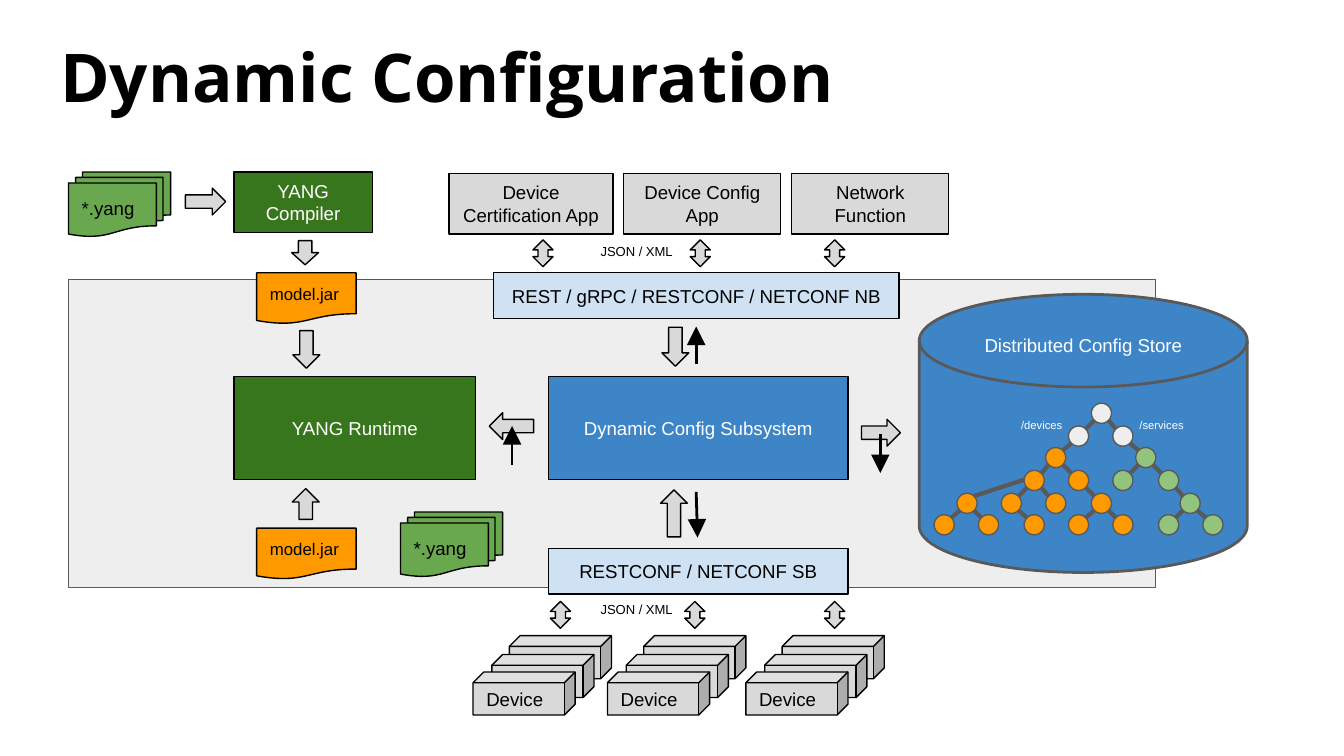
from lxml import etree
from pptx import Presentation
from pptx.dml.color import RGBColor
from pptx.enum.shapes import MSO_CONNECTOR, MSO_SHAPE
from pptx.enum.text import MSO_ANCHOR, PP_ALIGN
from pptx.oxml.ns import qn
from pptx.util import Pt

PX = 9144
RECTANGLE = MSO_SHAPE.RECTANGLE
DOCUMENT = MSO_SHAPE.FLOWCHART_DOCUMENT
DOCUMENTS = MSO_SHAPE.FLOWCHART_MULTIDOCUMENT
DISK = MSO_SHAPE.FLOWCHART_MAGNETIC_DISK
CUBE = MSO_SHAPE.CUBE
CIRCLE = MSO_SHAPE.OVAL
ARROW = MSO_SHAPE.RIGHT_ARROW
DOUBLE_ARROW = MSO_SHAPE.LEFT_RIGHT_ARROW
STRAIGHT = MSO_CONNECTOR.STRAIGHT
LEFT, CENTER = PP_ALIGN.LEFT, PP_ALIGN.CENTER
TOP, MIDDLE = MSO_ANCHOR.TOP, MSO_ANCHOR.MIDDLE

BLACK, WHITE, DARK_GRAY, GRAY, PALE = "000000", "FFFFFF", "595959", "D9D9D9", "EEEEEE"
DARK_GREEN, GREEN, LIGHT_GREEN = "38761D", "6AA84F", "93C47D"
BLUE, LIGHT_BLUE, ORANGE = "3D85C6", "CFE2F3", "FF9900"

presentation = Presentation()
presentation.slide_width = 1000 * PX
presentation.slide_height = presentation.slide_width * 9 // 16
slide = presentation.slides.add_slide(presentation.slide_layouts[6])


def draw_shape(kind, box, fill, line=BLACK, weight=0.75, rotation=0):
    shape = slide.shapes.add_shape(kind, *(value * PX for value in box))
    shape.shadow.inherit = False
    shape.rotation = rotation
    shape.fill.solid()
    shape.fill.fore_color.rgb = RGBColor.from_string(fill)
    shape.line.color.rgb = RGBColor.from_string(line)
    shape.line.width = Pt(weight)
    return shape


def write_text(shape, text, size, color=BLACK, align=CENTER, anchor=MIDDLE, font="Arial", right=10):
    frame = shape.text_frame
    frame.word_wrap = True
    frame.vertical_anchor = anchor
    frame.margin_left = frame.margin_top = frame.margin_bottom = 10 * PX
    frame.margin_right = right * PX
    frame.text = text
    for paragraph in frame.paragraphs:
        paragraph.alignment = align
        paragraph.font.name = font
        paragraph.font.size = Pt(size)
        paragraph.font.bold = font == "Open Sans"
        paragraph.font.color.rgb = RGBColor.from_string(color)


draw_shape(RECTANGLE, (51, 208, 809, 229), PALE, DARK_GRAY)
draw_shape(DISK, (684, 219, 244, 207), BLUE, DARK_GRAY, 1.5)

boxes = [
    (174, 280, 180, 77, DARK_GREEN, WHITE, "YANG Runtime"),
    (174, 128, 103, 45, DARK_GREEN, WHITE, "YANG Compiler"),
    (408, 280, 223, 77, BLUE, WHITE, "Dynamic Config Subsystem"),
    (408, 408, 223, 34, LIGHT_BLUE, BLACK, "RESTCONF / NETCONF SB"),
    (367, 203, 302, 34, LIGHT_BLUE, BLACK, "REST / gRPC / RESTCONF / NETCONF NB"),
    (334, 129, 122, 45, GRAY, BLACK, "Device Certification App"),
    (464, 129, 117, 45, GRAY, BLACK, "Device Config\nApp"),
    (589, 129, 117, 45, GRAY, BLACK, "Network\nFunction"),
]
for left, top, width, height, fill, color, text in boxes:
    write_text(draw_shape(RECTANGLE, (left, top, width, height), fill), text, 10, color)

for left, top in [(51, 128), (298, 381)]:
    write_text(draw_shape(DOCUMENTS, (left, top, 76, 48), GREEN), "*.yang", 10, align=LEFT)
for top in (203, 393):
    write_text(draw_shape(DOCUMENT, (191, top, 74, 38), ORANGE), "model.jar", 9, align=LEFT)

block_arrows = [
    (138, 140, 30, 0),
    (641, 312, 29, 0),
    (364, 307, 33, 180),
    (218, 178, 18, 90),
    (214, 250, 28, 90),
    (488, 248, 29, 90),
    (216, 365, 23, 270),
    (484, 372, 35, 270),
]
for left, top, length, rotation in block_arrows:
    draw_shape(ARROW, (left, top, length, 20), GRAY, rotation=rotation)

for top, lefts in [(181, (394, 511, 611)), (450, (407, 507, 611))]:
    for left in lefts:
        draw_shape(DOUBLE_ARROW, (left, top, 20, 15), GRAY, rotation=90)

for shift, top in [(27, 473), (14, 487), (0, 500)]:
    for left in (352, 452, 555):
        cube = draw_shape(CUBE, (left + shift, top, 76, 32), GRAY)
        if shift == 0:
            write_text(cube, "Device", 10, align=LEFT)

tree_nodes = [
    (PALE, [(7, 0), (6, 1), (8, 1)]),
    (ORANGE, [(5, 2), (4, 3), (6, 3), (1, 4), (3, 4), (5, 4), (7, 4),
              (0, 5), (2, 5), (4, 5), (6, 5), (8, 5)]),
    (LIGHT_GREEN, [(9, 2), (8, 3), (10, 3), (11, 4), (10, 5), (12, 5)]),
]
positions = {}
for fill, nodes in tree_nodes:
    for column, row in nodes:
        x, y = 695 + (column * 50 + 1) // 3, 300 + (row * 50 + 1) // 3
        positions[column, row] = x, y
        draw_shape(CIRCLE, (x, y, 15, 15), fill, DARK_GRAY)

lines = [
    (518, 271, 518, 243, BLACK, 1.5),
    (518, 366, 519, 400, BLACK, 1.5),
    (381, 346, 381, 317, BLACK, 1.5),
    (655, 323, 655, 352, BLACK, 1.5),
    (762, 357, 725, 369, DARK_GRAY, 2.25),
]
tree_children = {
    (7, 0): (6, 8), (6, 1): (5,), (8, 1): (9,), (5, 2): (4, 6), (9, 2): (8, 10),
    (4, 3): (3, 5), (6, 3): (7,), (10, 3): (11,), (1, 4): (0, 2), (3, 4): (4,),
    (7, 4): (6, 8), (11, 4): (10, 12),
}
for (column, row), children in tree_children.items():
    x, y = positions[column, row]
    for child in children:
        child_x, child_y = positions[child, row + 1]
        start, end = (2, 13) if child < column else (13, 2)
        lines.append((x + start, y + 13, child_x + end, child_y + 2, DARK_GRAY, 2.25))

for x1, y1, x2, y2, color, weight in lines:
    connector = slide.shapes.add_connector(STRAIGHT, x1 * PX, y1 * PX, x2 * PX, y2 * PX)
    connector.line.color.rgb = RGBColor.from_string(color)
    connector.line.width = Pt(weight)
    properties = connector._element.spPr
    etree.SubElement(properties, qn("a:effectLst"))
    if color == BLACK:
        outline = properties.find(qn("a:ln"))
        etree.SubElement(outline, qn("a:tailEnd"), type="triangle", w="lg", len="lg")

labels = [
    (35, 16, 932, 63, "Dynamic Configuration", 36, BLACK, LEFT, "Open Sans"),
    (684, 240, 244, 36, "Distributed Config Store", 10, WHITE, CENTER, "Arial"),
    (838, 306, 53, 15, "/services", 6, WHITE, LEFT, "Arial"),
    (750, 306, 53, 15, "/devices", 6, WHITE, LEFT, "Arial"),
    (437, 175, 98, 17, "JSON / XML", 7, BLACK, LEFT, "Arial"),
    (437, 442, 98, 17, "JSON / XML", 7, BLACK, LEFT, "Arial"),
]
for left, top, width, height, text, size, color, align, font in labels:
    label = slide.shapes.add_textbox(left * PX, top * PX, width * PX, height * PX)
    write_text(label, text, size, color, align, TOP, font, 10 if align == CENTER else 0)

presentation.save("out.pptx")
